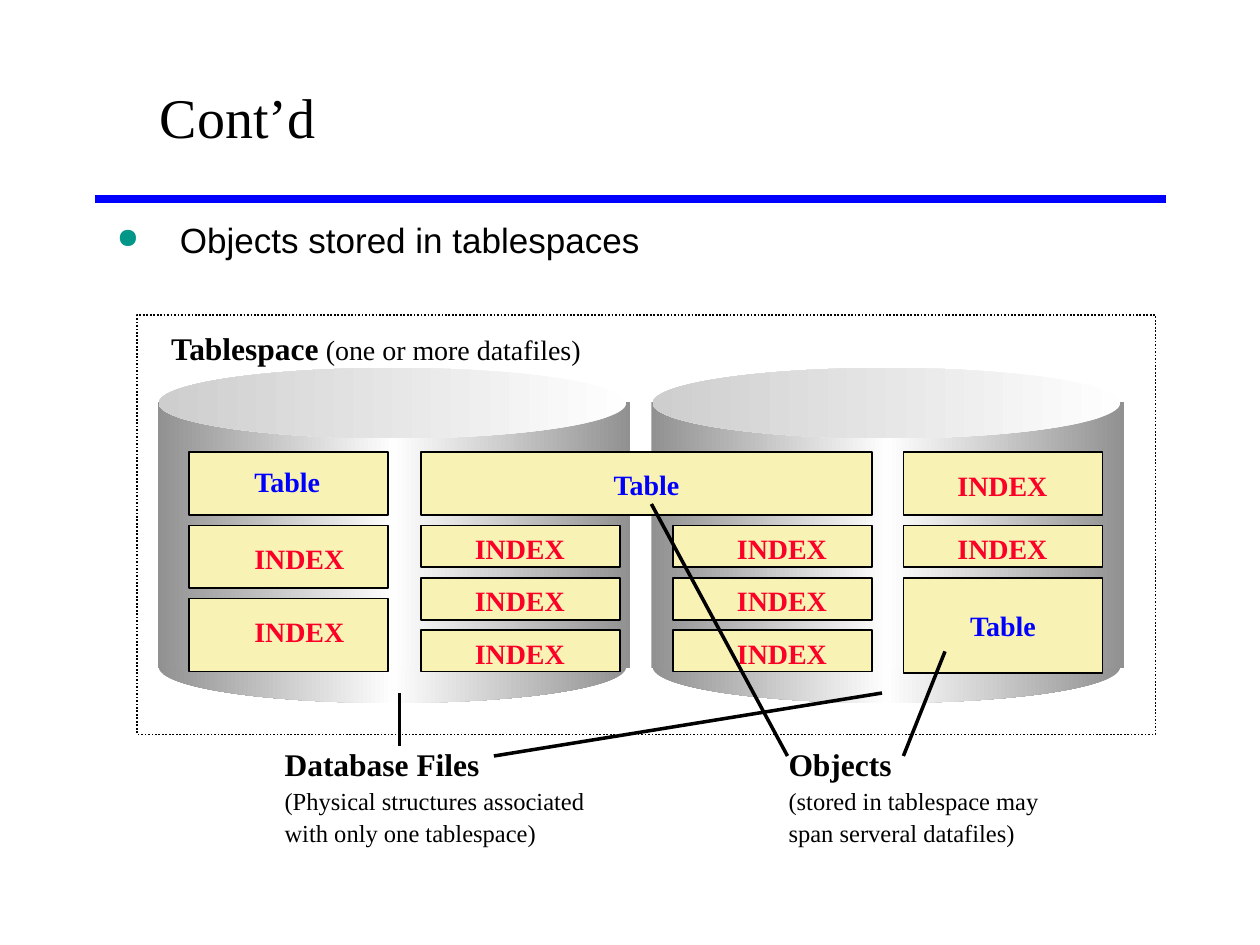
"""Build a slide showing the objects stored in a tablespace."""
from copy import deepcopy

from lxml import etree
from pptx import Presentation
from pptx.dml.color import RGBColor
from pptx.enum.dml import MSO_LINE
from pptx.enum.shapes import MSO_CONNECTOR, MSO_SHAPE
from pptx.enum.text import MSO_ANCHOR, MSO_AUTO_SIZE, PP_ALIGN
from pptx.oxml.ns import qn
from pptx.util import Inches, Pt

RECT, OVAL = MSO_SHAPE.RECTANGLE, MSO_SHAPE.OVAL
STRAIGHT, DOTTED = MSO_CONNECTOR.STRAIGHT, MSO_LINE.ROUND_DOT
TOP, MIDDLE = MSO_ANCHOR.TOP, MSO_ANCHOR.MIDDLE
LEFT, CENTER = PP_ALIGN.LEFT, PP_ALIGN.CENTER
GROW = MSO_AUTO_SIZE.SHAPE_TO_FIT_TEXT

BLACK = RGBColor(0, 0, 0)
BLUE = RGBColor(0, 0, 255)
RED = RGBColor(0xFC, 0x01, 0x28)
CREAM = RGBColor(0xF9, 0xF2, 0xB5)
WHITE = RGBColor(0xFE, 0xFE, 0xFE)
SILVER = RGBColor(0xCE, 0xCE, 0xCE)
GRAY = RGBColor(0x91, 0x91, 0x91)

SERIF = "Times New Roman"
TITLE = {"name": SERIF, "size": Pt(32)}
BODY = {"name": "Arial", "size": Pt(20)}
HEAD = {"name": SERIF, "size": Pt(18), "bold": True}
LABEL = {"name": SERIF, "size": Pt(16), "bold": True}
PLAIN = {"name": SERIF, "size": Pt(16), "bold": False}
NOTE = {"name": SERIF, "size": Pt(14), "bold": False}


def write(shape, lines, color=BLACK, align=LEFT, anchor=TOP, **paras):
    frame = shape.text_frame
    frame.vertical_anchor = anchor
    for i, runs in enumerate(lines):
        para = frame.add_paragraph() if i else frame.paragraphs[0]
        para.alignment = align
        for key, value in paras.items():
            if i or key != "space_before":
                setattr(para, key, value)
        for text, style in runs:
            run = para.add_run()
            run.text = text
            run.font.color.rgb = color
            for key, value in style.items():
                setattr(run.font, key, value)
    return frame


def link(x1, y1, x2, y2, color=BLACK, width=2):
    line = shapes.add_connector(STRAIGHT, Inches(x1), Inches(y1), Inches(x2), Inches(y2))
    line.line.color.rgb = color
    line.line.width = Pt(width)
    etree.SubElement(line._element.spPr, qn("a:effectLst"))


prs = Presentation()
prs.slide_width, prs.slide_height = Inches(10), Inches(7.5)
shapes = prs.slides.add_slide(prs.slide_layouts[6]).shapes

link(0.75, 1.58, 9.25, 1.58, BLUE, 4.5)

title = shapes.add_textbox(Inches(1.17), Inches(0.33), Inches(7.83), Inches(1.25))
write(title, [[("Cont’d", TITLE)]], anchor=MIDDLE, line_spacing=0.89).word_wrap = True

body = shapes.add_textbox(Inches(0.83), Inches(1.67), Inches(8.67), Inches(0.5))
props = body.text_frame.paragraphs[0]._p.get_or_add_pPr()
props.set("marL", str(Inches(0.5)))
props.set("indent", str(Inches(-0.5)))
tint = etree.SubElement(props, qn("a:buClr"))
etree.SubElement(tint, qn("a:srgbClr"), val="009688")
etree.SubElement(props, qn("a:buSzPct"), val="80000")
etree.SubElement(props, qn("a:buChar"), char="●")
write(body, [[("Objects stored in tablespaces", BODY)]], line_spacing=1.05).word_wrap = True

# fmt: off
SIDE = [(0, GRAY), (0.5, WHITE), (1, GRAY)]
LID = [(0, WHITE), (1, SILVER)]
PARTS = [
    (OVAL, 0.01, 5.01, 3.71, 0.57, SIDE),
    (RECT, 0, 3.19, 3.75, 2.11, SIDE),
    (OVAL, 0.01, 2.92, 3.71, 0.56, LID),
]
for left in (5.17, 1.25):
    for kind, dx, y, w, h, stops in PARTS:
        part = shapes.add_shape(kind, Inches(left + dx), Inches(y), Inches(w), Inches(h))
        part.shadow.inherit = False
        part.line.fill.background()
        part.fill.gradient()
        part.fill.gradient_angle = 180
        ramp = part._element.spPr.find(".//" + qn("a:gsLst"))
        for _ in stops[2:]:
            ramp.append(deepcopy(ramp[-1]))
        for stop, (place, color) in zip(part.fill.gradient_stops, stops):
            stop.position = place
            stop.color.rgb = color

space = shapes.add_shape(RECT, Inches(1.09), Inches(2.5), Inches(8.08), Inches(3.33))
space.shadow.inherit = False
space.fill.background()
space.line.color.rgb = BLACK
space.line.width = Pt(1)
space.line.dash_style = DOTTED

THIRDS = [(4.17, 0.33), (4.59, 0.33), (5, 0.33)]
BOXES = [(1.5, y, 1.58, h, "") for y, h in [(3.59, 0.5), (4.17, 0.5), (4.75, 0.58)]]
BOXES += [(x, y, 1.58, h, "") for x in (3.34, 5.34) for y, h in THIRDS]
BOXES += [(7.17, y, 1.58, h, "") for y, h in [(3.59, 0.5), (4.17, 0.33)]]
BOXES += [(3.34, 3.59, 3.58, 0.5, "Table"), (7.17, 4.59, 1.58, 0.75, "Table")]
for x, y, w, h, name in BOXES:
    box = shapes.add_shape(RECT, Inches(x), Inches(y), Inches(w), Inches(h))
    box.shadow.inherit = False
    box.fill.solid()
    box.fill.fore_color.rgb = CREAM
    box.line.color.rgb = BLACK
    box.line.width = Pt(1)
    if name:
        write(box, [[(name, LABEL)]], BLUE, CENTER, MIDDLE).word_wrap = False

MARKS = [(1.92, 3.64, 0.74, "Table", BLUE)]
MARKS += [(x, y, 0.92, "INDEX", RED) for x, tops in [
    (1.92, (4.25, 4.83)),
    (3.67, (4.17, 4.58, 5)),
    (5.75, (4.17, 4.58, 5)),
    (7.5, (3.67, 4.17)),
] for y in tops]
for x, y, w, name, color in MARKS:
    mark = shapes.add_textbox(Inches(x), Inches(y), Inches(w), Inches(0.37))
    frame = write(mark, [[(name, LABEL)]], color)
    frame.word_wrap, frame.auto_size = False, GROW

NOTES = [
    (1.26, 2.56, 3.48, 0.4, 1, [
        [("Tablespace", HEAD), (" ", LABEL), ("(one or more datafiles)", PLAIN)],
    ]),
    (2.16, 5.92, 2.59, 0.86, 0.8, [
        [("Database Files", HEAD)],
        [("(Physical structures associated", NOTE)],
        [("with only one tablespace)", NOTE)],
    ]),
    (6.16, 5.92, 2.19, 0.86, 0.8, [
        [("Objects", HEAD)],
        [("(stored in tablespace may", NOTE)],
        [("span serveral datafiles)", NOTE)],
    ]),
]
for x, y, w, h, pitch, lines in NOTES:
    note = shapes.add_textbox(Inches(x), Inches(y), Inches(w), Inches(h))
    frame = write(note, lines, line_spacing=pitch, space_before=Pt(5.2))
    frame.word_wrap, frame.auto_size = False, GROW

for ends in [(3.17, 5.92, 3.17, 5.5), (3.92, 6, 7, 5.5), (6.25, 6, 5.17, 4), (7.17, 6, 7.5, 5.17)]:
    link(*ends)

prs.save("out.pptx")
